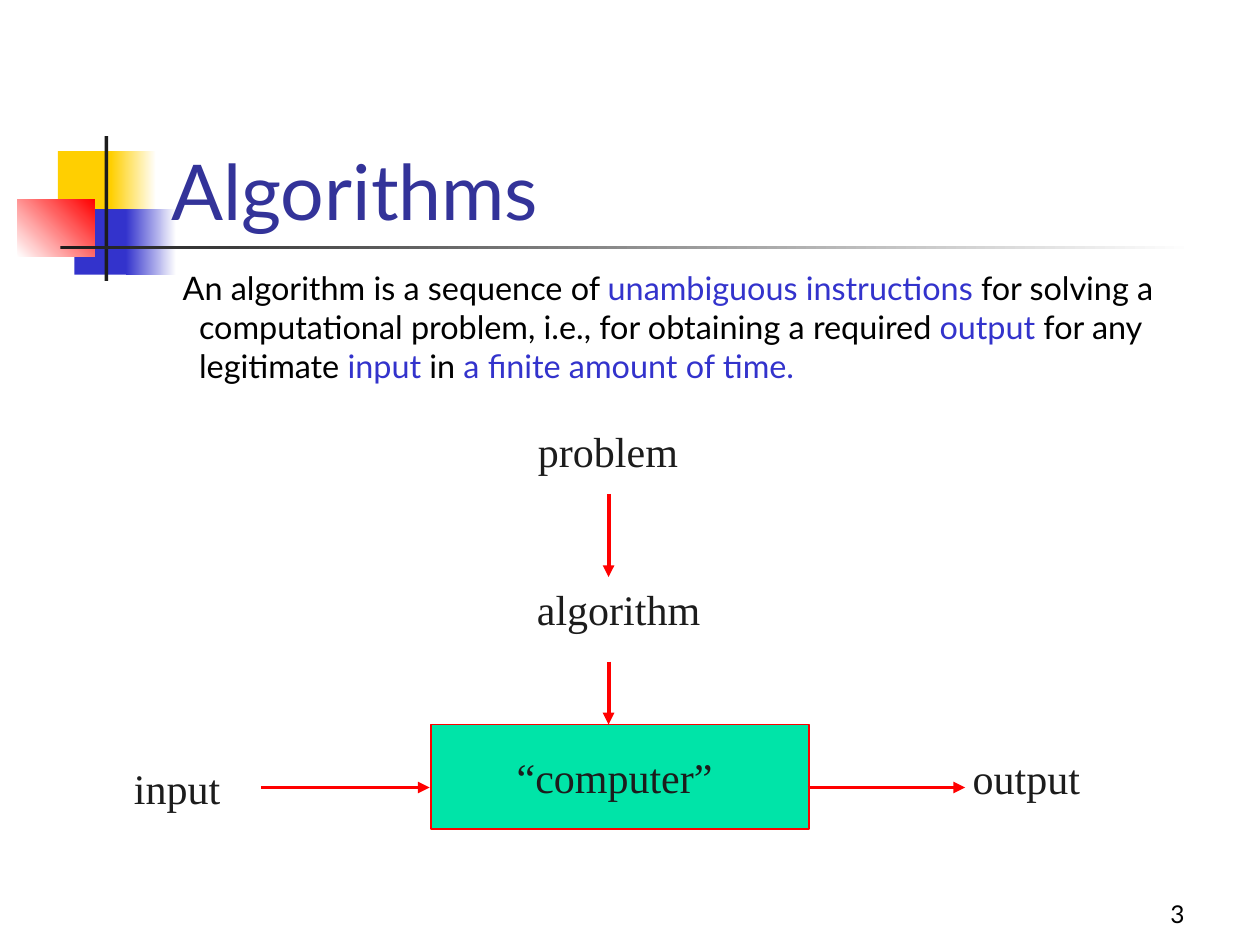
from pptx import Presentation
from pptx.dml.color import RGBColor
from pptx.enum import shapes, text
from pptx.oxml.ns import qn
from pptx.util import Inches, Pt
from lxml import etree

BLUE, YELLOW, RED, INK, WHITE = "3333CC", "FFCF01", "FF0000", "1C1C1C", "FFFFFF"
SANS, SERIF = "Lato", "Times New Roman"


def color(value):
    return RGBColor.from_string(value)


def add_run(paragraph, words, size, font, ink):
    run = paragraph.add_run()
    run.text = words
    run.font.size = Pt(size)
    run.font.name = font
    run.font.color.rgb = color(ink)


def place(shape, left, top, width, height):
    shape.left, shape.top = Inches(left), Inches(top)
    shape.width, shape.height = Inches(width), Inches(height)


def add_block(slide, left, top, width, height, start, end=None, angle=0):
    """Rectangle with a solid fill, or a gradient when an end colour is given."""
    block = slide.shapes.add_shape(
        shapes.MSO_SHAPE.RECTANGLE,
        Inches(left), Inches(top), Inches(width), Inches(height))
    block.shadow.inherit = False
    block.line.fill.background()
    if end is None:
        block.fill.solid()
        block.fill.fore_color.rgb = color(start)
    else:
        block.fill.gradient()
        block.fill.gradient_angle = angle
        for stop, value, position in zip(block.fill.gradient_stops, (start, end), (0, 1)):
            stop.color.rgb = color(value)
            stop.position = position
    return block


def add_label(slide, left, top, width, height, words, size=24, font=SERIF, ink=INK,
              align=text.PP_ALIGN.CENTER):
    box = slide.shapes.add_textbox(Inches(left), Inches(top), Inches(width), Inches(height))
    box.text_frame.word_wrap = True
    paragraph = box.text_frame.paragraphs[0]
    paragraph.alignment = align
    add_run(paragraph, words, size, font, ink)
    return box


def add_arrow(slide, x1, y1, x2, y2):
    arrow = slide.shapes.add_connector(
        shapes.MSO_CONNECTOR.STRAIGHT, Inches(x1), Inches(y1), Inches(x2), Inches(y2))
    arrow.line.color.rgb = color(RED)
    arrow.line.width = Pt(2.25)
    etree.SubElement(arrow.line._get_or_add_ln(), qn("a:tailEnd"), type="triangle")
    etree.SubElement(arrow._element.spPr, qn("a:effectLst"))


def add_ornament(slide, left, top):
    """Overlapping squares crossed by a vertical bar and a fading rule."""
    add_block(slide, left + 0.32, top + 0.12, 0.48, 0.52, YELLOW)
    add_block(slide, left + 0.74, top + 0.12, 0.36, 0.52, YELLOW, WHITE)
    add_block(slide, left + 0.45, top + 0.58, 0.46, 0.52, BLUE)
    add_block(slide, left + 0.86, top + 0.58, 0.4, 0.52, BLUE, WHITE)
    add_block(slide, left, top + 0.5, 0.61, 0.46, WHITE, RED, angle=45)
    add_block(slide, left + 0.69, top, 0.03, 1.15, INK)
    add_block(slide, left + 0.34, top + 0.87, 9, 0.03, INK, WHITE)


def fill_title(slide, left, top, width, height):
    title = slide.shapes.title
    slide.shapes._spTree.append(title._element)  # in front of the ornament
    place(title, left, top, width, height)
    frame = title.text_frame
    frame.vertical_anchor = text.MSO_ANCHOR.BOTTOM
    frame.auto_size = text.MSO_AUTO_SIZE.NONE
    frame.paragraphs[0].alignment = text.PP_ALIGN.LEFT
    add_run(frame.paragraphs[0], "Algorithms", 44, SANS, "333399")


def fill_definition(slide, left, top, width, height):
    body = slide.placeholders[1]
    slide.shapes._spTree.append(body._element)
    place(body, left, top, width, height)
    body.text_frame.auto_size = text.MSO_AUTO_SIZE.NONE
    paragraph = body.text_frame.paragraphs[0]
    paragraph.space_before = Pt(5)
    properties = paragraph._p.get_or_add_pPr()
    properties.set("marL", str(Inches(0.81)))
    properties.set("indent", str(Inches(-0.13)))
    etree.SubElement(properties, qn("a:buNone"))
    for words, ink in (
        ("An algorithm is a sequence of ", "000000"),
        ("unambiguous instructions", BLUE),
        (" for solving a computational problem, i.e., for obtaining a required ", "000000"),
        ("output", BLUE),
        (" for any legitimate ", "000000"),
        ("input", BLUE),
        (" in", "000000"),
        (" a finite amount of time.", BLUE),
    ):
        add_run(paragraph, words, 18.5, SANS, ink)


def add_diagram(slide, left, top):
    """Problem to algorithm to computer, with input and output at its sides."""
    computer = add_block(slide, left + 2.67, top + 2.42, 3, 0.83, "00E4A8")
    computer.line.color.rgb = color(RED)
    computer.line.width = Pt(1)
    frame = computer.text_frame
    frame.word_wrap = False
    frame.vertical_anchor = text.MSO_ANCHOR.MIDDLE
    frame.paragraphs[0].alignment = text.PP_ALIGN.CENTER
    add_run(frame.paragraphs[0], "“computer” ", 24, SERIF, INK)

    add_label(slide, left + 3.42, top, 1.31, 0.5, "problem")
    add_label(slide, left + 3.36, top + 1.25, 1.6, 0.5, "algorithm")
    add_label(slide, left, top + 2.67, 1.31, 0.5, "input")
    add_label(slide, left + 6.74, top + 2.59, 1.31, 0.5, "output")

    axis_x, axis_y = left + 4.08, top + 2.92
    for start, end in ((0.59, 1.25), (1.92, 2.42)):
        add_arrow(slide, axis_x, top + start, axis_x, top + end)
    for start, end in ((1.32, 2.66), (5.66, 6.91)):
        add_arrow(slide, left + start, axis_y, left + end, axis_y)


def add_page_number(slide, left, top, width, height):
    number = add_label(slide, left, top, width, height, "3", 14, SANS, "000000",
                       text.PP_ALIGN.RIGHT)
    number.text_frame.vertical_anchor = text.MSO_ANCHOR.BOTTOM


def main():
    presentation = Presentation()
    presentation.slide_width, presentation.slide_height = Inches(10), Inches(7.5)
    slide = presentation.slides.add_slide(presentation.slide_layouts[1])
    add_ornament(slide, 0.14, 1.08)
    add_page_number(slide, 7.42, 6.92, 2.08, 0.5)
    fill_title(slide, 1.26, 0.67, 8.52, 1.25)
    fill_definition(slide, 0.67, 2.08, 8.92, 1.17)
    add_diagram(slide, 0.75, 3.33)
    presentation.save("out.pptx")


if __name__ == "__main__":
    main()
